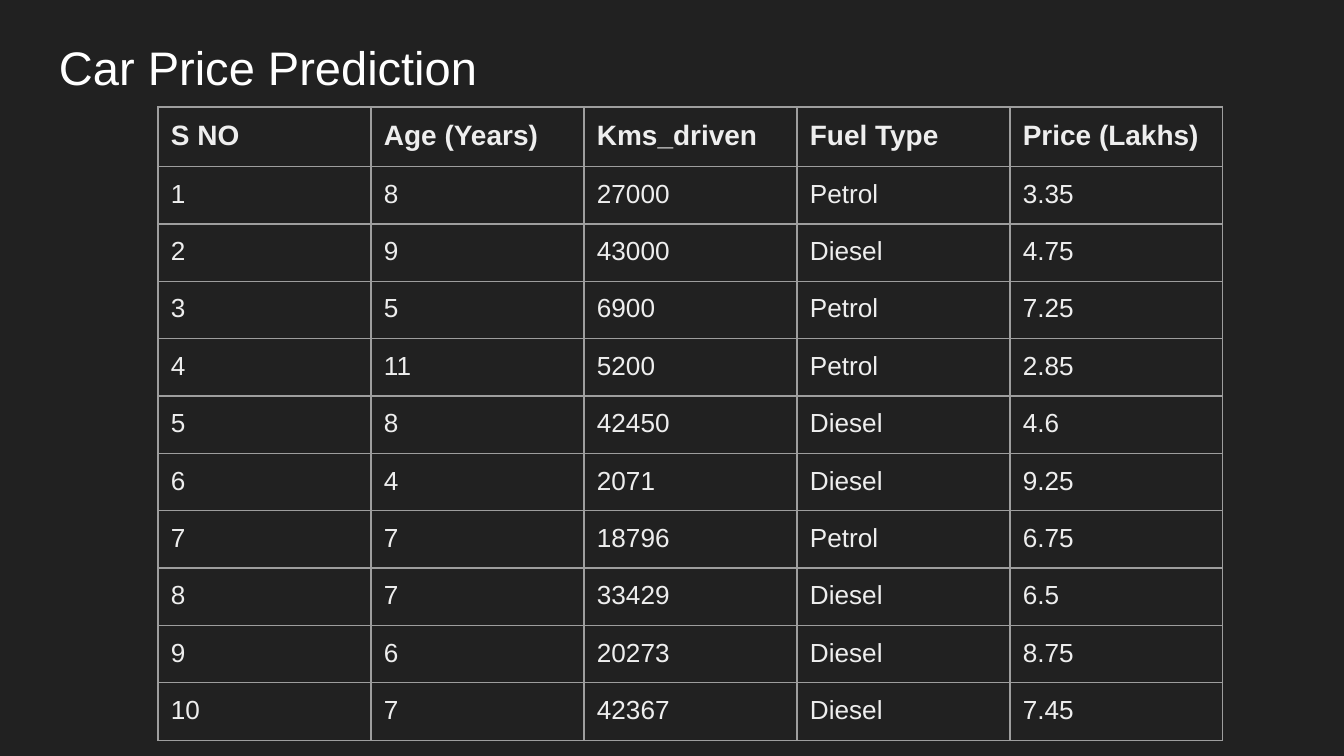
from lxml.etree import SubElement
from pptx import Presentation
from pptx.dml.color import RGBColor
from pptx.enum.text import MSO_ANCHOR
from pptx.oxml.ns import qn
from pptx.util import Emu, Pt

EMU_PER_PX = 914400 / 134.4
COLORS = {"background": "212121", "title": "FFFFFF", "body": "EEEEEE", "border": "9E9E9E"}
INSET = 13
COLUMN_WIDTH, HEADER_HEIGHT, ROW_HEIGHT = 213, 58, 56

CARS = [
    ("S NO", "Age (Years)", "Kms_driven", "Fuel Type", "Price (Lakhs)"),
    ("1", "8", "27000", "Petrol", "3.35"),
    ("2", "9", "43000", "Diesel", "4.75"),
    ("3", "5", "6900", "Petrol", "7.25"),
    ("4", "11", "5200", "Petrol", "2.85"),
    ("5", "8", "42450", "Diesel", "4.6"),
    ("6", "4", "2071", "Diesel", "9.25"),
    ("7", "7", "18796", "Petrol", "6.75"),
    ("8", "7", "33429", "Diesel", "6.5"),
    ("9", "6", "20273", "Diesel", "8.75"),
    ("10", "7", "42367", "Diesel", "7.45"),
]


def px(length):
    return Emu(round(length * EMU_PER_PX))


def write(frame, text, *, size, color, bold=False, anchor=MSO_ANCHOR.TOP):
    frame.word_wrap = True
    frame.vertical_anchor = anchor
    frame.margin_left = frame.margin_right = px(INSET)
    frame.margin_top = frame.margin_bottom = px(INSET)
    run = frame.paragraphs[0].add_run()
    run.text = text
    run.font.name = "Arial"
    run.font.size = Pt(size)
    run.font.bold = bold
    run.font.color.rgb = RGBColor.from_string(COLORS[color])


deck = Presentation()
deck.slide_width, deck.slide_height = px(1344), px(756)
slide = deck.slides.add_slide(deck.slide_layouts[6])
slide.background.fill.solid()
slide.background.fill.fore_color.rgb = RGBColor.from_string(COLORS["background"])

heading = slide.shapes.add_textbox(px(46), px(23), px(1252), px(85))
write(heading.text_frame, "Car Price Prediction", size=25.2, color="title",
      anchor=MSO_ANCHOR.BOTTOM)

columns = len(CARS[0])
table_height = HEADER_HEIGHT + ROW_HEIGHT * (len(CARS) - 1)
cars = slide.shapes.add_table(len(CARS), columns, px(158), px(107),
                              px(COLUMN_WIDTH * columns), px(table_height)).table
cars.first_row = cars.horz_banding = False
for column in cars.columns:
    column.width = px(COLUMN_WIDTH)

for row_index, values in enumerate(CARS):
    is_header = row_index == 0
    cars.rows[row_index].height = px(HEADER_HEIGHT if is_header else ROW_HEIGHT)
    for column_index, value in enumerate(values):
        cell = cars.cell(row_index, column_index)
        write(cell.text_frame, value, size=15 if is_header else 14,
              color="body", bold=is_header)
        cell.margin_left = cell.margin_right = px(INSET)
        cell.margin_top = cell.margin_bottom = px(INSET)
        properties = cell._tc.get_or_add_tcPr()
        for side in ("lnL", "lnR", "lnT", "lnB"):
            border = SubElement(properties, qn(f"a:{side}"), w=str(Pt(0.75)))
            border_fill = SubElement(border, qn("a:solidFill"))
            SubElement(border_fill, qn("a:srgbClr"), val=COLORS["border"])
        cell.fill.background()

deck.save("out.pptx")
